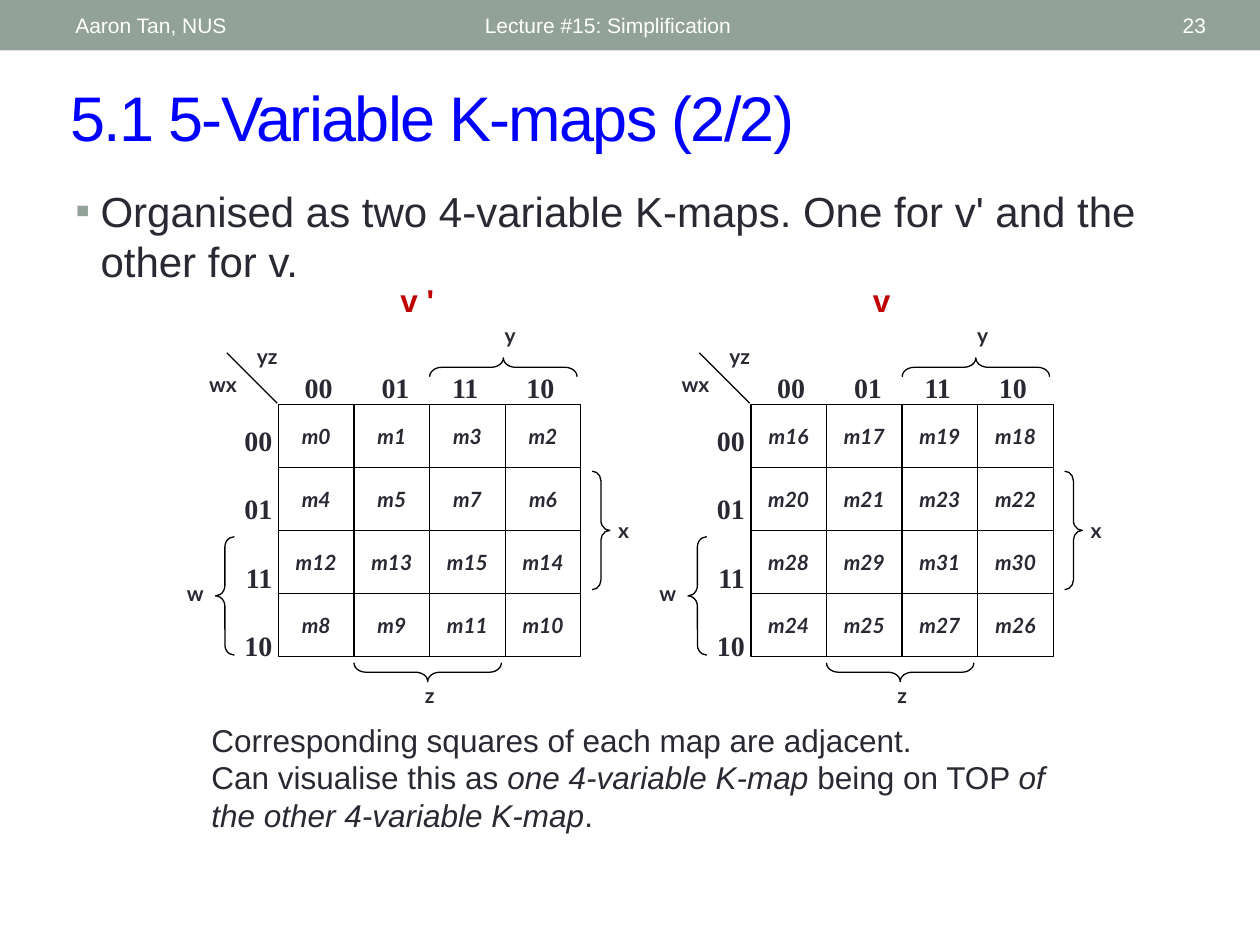
from dataclasses import dataclass

from lxml.etree import SubElement
from pptx import Presentation
from pptx.dml.color import RGBColor
from pptx.enum.shapes import MSO_CONNECTOR, MSO_SHAPE
from pptx.enum.text import MSO_ANCHOR as ANCHOR, PP_ALIGN as ALIGN
from pptx.oxml.ns import qn
from pptx.util import Inches, Pt

INK, BLACK, WHITE, BLUE, RED, SAGE = (
    "292934", "000000", "FFFFFF", "0000FF", "C00000", "93A299")
GRAY_CODE = (0, 1, 3, 2)
CODES = [f"{n:02b}" for n in GRAY_CODE]
CELL_W, CELL_H, GRID_TOP = 0.6, 0.5, 3.21
GRID_W, GRID_H = 4 * CELL_W, 4 * CELL_H


@dataclass
class Style:
    size: float
    color: str = INK
    font: str = "Arial"
    bold: bool = False
    italic: bool = False


@dataclass
class KMap:
    name: str
    left: float
    first: int
    name_left: float


@dataclass
class Label:
    text: str
    dx: float  # from the left edge of the grid
    top: float
    width: float
    height: float


@dataclass
class Brace:
    dx: float
    top: float
    width: float
    height: float
    adj: float
    rotation: int = 0
    flip: bool = False


VARIABLE = Style(12, font="Lato", bold=True)
MINTERM = Style(12, font="Lato", bold=True, italic=True)
CODE = Style(16, font="Times New Roman", bold=True)
HEADER = Style(12, WHITE)
NOTE, NOTE_ITALIC = Style(18), Style(18, italic=True)

KMAPS = [KMap("v '", 2.21, 0, 3.08), KMap("v", 5.96, 16, 6.83)]
LABELS = [
    Label("w", -0.88, 4.56, 0.44, 0.4),
    Label("x", 2.52, 4.06, 0.44, 0.4),
    Label("y", 1.62, 2.51, 0.44, 0.32),
    Label("z", 0.98, 5.37, 0.44, 0.3),
    Label("wx", -0.7, 2.9, 0.52, 0.36),
    Label("yz", -0.35, 2.68, 0.52, 0.32),
]
BRACES = [
    Brace(-0.5, 4.26, 0.15, 0.94, 0.54),
    Brace(2.49, 3.74, 0.14, 0.94, 0.55, flip=True),
    Brace(1.71, 2.33, 0.15, 1.17, 0.63, rotation=90),
    Brace(1.11, 4.75, 0.15, 1.17, 0.63, rotation=270),
]


def rgb(color: str) -> RGBColor:
    return RGBColor.from_string(color)


def add_run(p, text: str, style: Style):
    r = p.add_run()
    r.text = text
    f = r.font
    f.size, f.name = Pt(style.size), style.font
    f.bold, f.italic = style.bold, style.italic
    f.color.rgb = rgb(style.color)
    return r


def add_text(shapes, box: tuple, paragraphs: list, align=ALIGN.LEFT,
             anchor=ANCHOR.TOP, wrap: bool = True):
    """Add a text box; each paragraph is a list of (text, style) runs."""
    tf = shapes.add_textbox(*map(Inches, box)).text_frame
    tf.word_wrap, tf.vertical_anchor = wrap, anchor
    for i, runs in enumerate(paragraphs):
        p = tf.add_paragraph() if i else tf.paragraphs[0]
        p.alignment = align
        for text, style in runs:
            add_run(p, text, style)
    return tf


def add_line(shapes, x1: float, y1: float, x2: float, y2: float) -> None:
    c = shapes.add_connector(MSO_CONNECTOR.STRAIGHT,
                             *map(Inches, (x1, y1, x2, y2)))
    c.line.color.rgb, c.line.width = rgb(BLACK), Pt(0.75)
    SubElement(c._element.spPr, qn("a:effectLst"))


def add_outline(shapes, kind, box: tuple):
    sp = shapes.add_shape(kind, *map(Inches, box))
    sp.shadow.inherit = False
    sp.fill.background()
    sp.line.color.rgb, sp.line.width = rgb(BLACK), Pt(0.75)
    return sp


def add_brace(shapes, left: float, brace: Brace) -> None:
    sp = add_outline(shapes, MSO_SHAPE.LEFT_BRACE,
                     (left + brace.dx, brace.top, brace.width, brace.height))
    sp.adjustments[0] = brace.adj
    sp.rotation = brace.rotation
    if brace.flip:
        sp._element.spPr.xfrm.set("flipH", "1")


def add_kmap(slide, kmap: KMap) -> None:
    shapes = slide.shapes.add_group_shape().shapes
    left, top = kmap.left, GRID_TOP

    # Grid and corner diagonal
    add_outline(shapes, MSO_SHAPE.RECTANGLE, (left, top, GRID_W, GRID_H))
    for i in range(1, 4):
        x, y = left + i * CELL_W, top + i * CELL_H
        add_line(shapes, x, top, x, top + GRID_H)
        add_line(shapes, left, y, left + GRID_W, y)
    add_line(shapes, left - 0.01, top - 0.01, left - 0.41, top - 0.41)

    # Minterms in Gray code order
    for row, high in enumerate(GRAY_CODE):
        for col, low in enumerate(GRAY_CODE):
            box = (left + col * CELL_W, top + row * CELL_H + 0.1, CELL_W, 0.4)
            add_text(shapes, box,
                     [[(f"m{kmap.first + 4 * high + low}", MINTERM)]],
                     ALIGN.CENTER)

    # Row and column codes
    tf = add_text(shapes, (left - 0.39, top + 0.1, 0.44, 2.07),
                  [[(code, CODE)] for code in CODES], ALIGN.RIGHT)
    for p in tf.paragraphs[1:]:
        p.space_before = Pt(20)
    tf = add_text(shapes, (left + 0.11, 2.89, 2.24, 0.4), [[]])
    p = tf.paragraphs[0]
    tabs = SubElement(p._p.get_or_add_pPr(), qn("a:tabLst"))
    for stop in (0.61, 1.17, 1.76):
        SubElement(tabs, qn("a:tab"), pos=str(Inches(stop)), algn="l")
    add_run(p, "\t".join(CODES), CODE)

    # Variable braces and names
    for brace in BRACES:
        add_brace(shapes, left, brace)
    for label in LABELS:
        box = (left + label.dx, label.top, label.width, label.height)
        add_text(shapes, box, [[(label.text, VARIABLE)]], ALIGN.CENTER)
    add_text(shapes, (kmap.name_left, 2.18, 0.5, 0.4),
             [[(kmap.name, Style(18, RED, bold=True))]], wrap=False)


def main() -> None:
    prs = Presentation()
    prs.slide_width, prs.slide_height = Inches(10), Inches(7.5)
    slide = prs.slides.add_slide(prs.slide_layouts[5])
    shapes = slide.shapes

    # Header band
    band = shapes.add_shape(MSO_SHAPE.RECTANGLE, 0, 0, Inches(10), Inches(0.4))
    band.shadow.inherit = False
    band.fill.solid()
    band.fill.fore_color.rgb = rgb(SAGE)
    band.line.fill.background()
    for text, left, width, align in (
            ("Aaron Tan, NUS", 0.5, 3.17, ALIGN.LEFT),
            ("Lecture #15: Simplification", 3.75, 4.5, ALIGN.LEFT),
            ("23", 8.72, 0.95, ALIGN.RIGHT)):
        add_text(shapes, (left, 0.02, width, 0.36), [[(text, HEADER)]],
                 align, ANCHOR.MIDDLE)

    # Title
    title = shapes.title
    title.left, title.top = Inches(0.46), Inches(0.57)
    title.width, title.height = Inches(9.07), Inches(0.7)
    tf = title.text_frame
    tf.vertical_anchor = ANCHOR.MIDDLE
    p = tf.paragraphs[0]
    p.alignment = ALIGN.LEFT
    r = add_run(p, "5.1 5-Variable K-maps (2/2)", Style(36, BLUE))
    r.font._element.set("spc", "-100")

    # Bulleted statement
    tf = add_text(shapes, (0.5, 1.42, 9, 1), [[(
        "Organised as two 4-variable K-maps. One for v' and the other for v.",
        Style(24))]])
    pPr = tf.paragraphs[0]._p.get_or_add_pPr()
    pPr.set("marL", str(Inches(0.2)))
    pPr.set("indent", str(-Inches(0.2)))
    SubElement(SubElement(pPr, qn("a:buClr")), qn("a:srgbClr"), val=SAGE)
    SubElement(pPr, qn("a:buFont"), typeface="Arial")
    SubElement(pPr, qn("a:buChar"), char="▪")

    # The two maps
    for kmap in KMAPS:
        add_kmap(slide, kmap)

    # Closing note
    add_text(shapes, (1.58, 5.67, 7.08, 1), [
        [("Corresponding squares of each map are adjacent.", NOTE)],
        [("Can visualise this as ", NOTE),
         ("one 4-variable K-map", NOTE_ITALIC),
         (" being on TOP ", NOTE),
         ("of the other 4-variable K-map", NOTE_ITALIC),
         (".", NOTE)]])
    prs.save("out.pptx")


if __name__ == "__main__":
    main()
